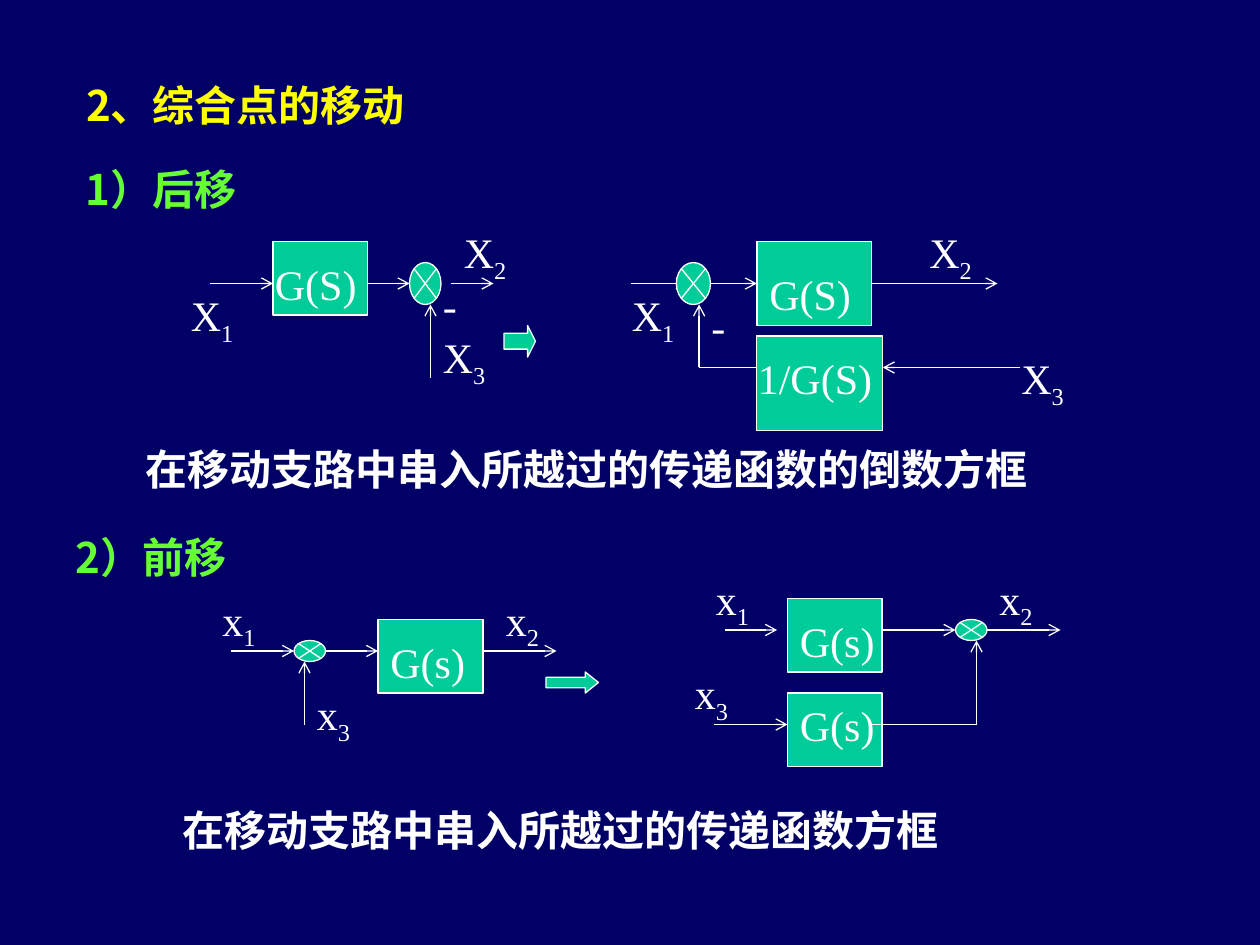
from dataclasses import dataclass

import pptx
import pptx.dml.color
import pptx.enum.shapes
import pptx.enum.text
import pptx.oxml.ns
import pptx.util
from lxml import etree

Pt = pptx.util.Pt
SHAPE = pptx.enum.shapes.MSO_SHAPE
NAVY, WHITE, YELLOW, GREEN, TEAL = "000066", "FFFFFF", "FFFF00", "66FF33", "00CC99"
SERIF, SANS = "Times New Roman", "Noto Sans CJK SC"


@dataclass
class Wire:
    x1: float
    y1: float
    x2: float
    y2: float
    arrow: bool = True


@dataclass
class Block:
    x: float
    y: float
    w: float
    h: float
    kind: int = SHAPE.RECTANGLE
    head: float = 0  # arrowhead length of a block arrow


@dataclass
class Label:
    x: float
    y: float
    w: float
    text: str
    sub: str = ""
    color: str = WHITE
    font: str = SERIF
    bold: bool = False
    wrap: bool = True


def junction(x: float, y: float, w: float, h: float) -> Block:
    return Block(x, y, w, h, SHAPE.FLOWCHART_SUMMING_JUNCTION)


def rgb(color: str):
    return pptx.dml.color.RGBColor.from_string(color)


def write(sp, label: Label) -> None:
    tf = sp.text_frame
    frame = dict(word_wrap=label.wrap, auto_size=pptx.enum.text.MSO_AUTO_SIZE.NONE,
                 vertical_anchor=pptx.enum.text.MSO_ANCHOR.TOP)
    for name, value in frame.items():
        setattr(tf, name, value)
    p = tf.paragraphs[0]
    p.alignment = pptx.enum.text.PP_ALIGN.LEFT
    for text in filter(None, (label.text, label.sub)):
        r = p.add_run()
        r.text = text
        for name, value in dict(size=Pt(24), name=label.font, bold=label.bold).items():
            setattr(r.font, name, value)
        r.font.color.rgb = rgb(label.color)
        props = r.font._element
        etree.SubElement(props, pptx.oxml.ns.qn("a:ea"), typeface=SANS)
        if text == label.sub:
            props.set("baseline", "-25000")


def draw_label(s, label: Label) -> None:
    height = 40 if label.sub else 36
    write(s.shapes.add_textbox(Pt(label.x), Pt(label.y), Pt(label.w), Pt(height)), label)


def draw_block(s, block: Block) -> None:
    sp = s.shapes.add_shape(block.kind, Pt(block.x), Pt(block.y), Pt(block.w), Pt(block.h))
    sp.shadow.inherit = False
    sp.fill.solid()
    sp.fill.fore_color.rgb = rgb(TEAL)
    sp.line.color.rgb = rgb(WHITE)
    sp.line.width = Pt(0.75)
    if block.head:
        sp.adjustments[1] = block.head


def draw_wire(s, wire: Wire) -> None:
    ends = map(Pt, (wire.x1, wire.y1, wire.x2, wire.y2))
    sp = s.shapes.add_connector(pptx.enum.shapes.MSO_CONNECTOR.STRAIGHT, *ends)
    sp.line.color.rgb = rgb(WHITE)
    sp.line.width = Pt(0.75)
    if wire.arrow:
        etree.SubElement(sp.line._get_or_add_ln(), pptx.oxml.ns.qn("a:tailEnd"), type="arrow")
    etree.SubElement(sp._element.spPr, pptx.oxml.ns.qn("a:effectLst"))


DRAW = {Wire: draw_wire, Block: draw_block, Label: draw_label}

TITLE = Label(42, 42, 444, "2、综合点的移动", color=YELLOW, font=SANS, bold=True)

TEXTS = [
    Label(42, 90, 126, "1）后移", color=GREEN, font=SANS, bold=True),
    Label(76, 250, 532, "在移动支路中串入所越过的传递函数的倒数方框", bold=True, wrap=False),
    Label(36, 300, 126, "2）前移", color=GREEN, font=SANS, bold=True),
    Label(97, 456, 446, "在移动支路中串入所越过的传递函数方框", bold=True, wrap=False),
]

# Moving the summing point behind the block: before, then after
BACKWARD = [
    Wire(120, 162, 156, 162), Block(156, 138, 54, 42), Wire(210, 162, 234, 162),
    junction(234, 150, 18, 24), Wire(258, 162, 282, 162), Wire(246, 216, 246, 174),
    Label(150, 144, 72, "G(S)"), Label(102, 162, 42, "X", "1"),
    Label(258, 126, 48, "X", "2"), Label(246, 186, 54, "X", "3"),
    Label(246, 156, 15, "-"),
    Block(288, 186, 18, 18, SHAPE.RIGHT_ARROW, 0.25),
    Wire(360.5, 162, 393, 162), junction(386.5, 150, 19.5, 24), Wire(406, 162, 432.5, 162),
    Block(432.5, 138, 65.5, 48), Wire(498, 162, 570, 162), Wire(399.5, 210, 399.5, 174),
    Block(432.5, 192, 72, 54), Wire(432.5, 210, 399.5, 210, False),
    Wire(583, 210, 504.5, 210),
    Label(432.5, 150, 78.5, "G(S)"), Label(426, 198, 105, "1/G(S)"),
    Label(354, 162, 46, "X", "1"), Label(524, 126, 52, "X", "2"),
    Label(576.5, 198, 59, "X", "3"), Label(399.5, 168, 16, "-"),
]

# Moving the summing point ahead of the block: before, then after
FORWARD = [
    Wire(132, 372, 168, 372), junction(168, 366, 18, 12), Wire(186, 372, 216, 372),
    Block(216, 354, 60, 42), Wire(276, 372, 318, 372), Wire(174, 414, 174, 378),
    Label(216, 360, 60, "G(s)"), Label(120, 336, 72, "x", "1"),
    Label(282, 336, 48, "x", "2"), Label(174, 390, 54, "x", "3"),
    Block(312, 384, 30, 12, SHAPE.RIGHT_ARROW, 0.625),
    Wire(414, 360, 444, 360), Block(450, 342, 54, 42), Block(450, 396, 54, 42),
    Wire(408, 414, 450, 414), Wire(498, 414, 558, 414, False), Wire(504, 360, 546, 360),
    junction(546, 354, 18, 12), Wire(564, 360, 606, 360), Wire(558, 414, 558, 366),
    Label(450, 348, 60, "G(s)"), Label(450, 396, 60, "G(s)"),
    Label(402, 324, 72, "x", "1"), Label(564, 324, 60, "x", "2"),
    Label(390, 378, 54, "x", "3"),
]


def main() -> None:
    prs = pptx.Presentation()
    prs.slide_width, prs.slide_height = Pt(720), Pt(540)
    s = prs.slides.add_slide(prs.slide_layouts[5])
    s.background.fill.solid()
    s.background.fill.fore_color.rgb = rgb(NAVY)

    # Title
    sp = s.shapes.title
    place = dict(left=TITLE.x, top=TITLE.y, width=TITLE.w, height=36)
    for name, value in place.items():
        setattr(sp, name, Pt(value))
    write(sp, TITLE)

    # Headings, conclusions and diagrams
    for part in TEXTS + BACKWARD + FORWARD:
        DRAW[type(part)](s, part)
    prs.save("out.pptx")


if __name__ == "__main__":
    main()
